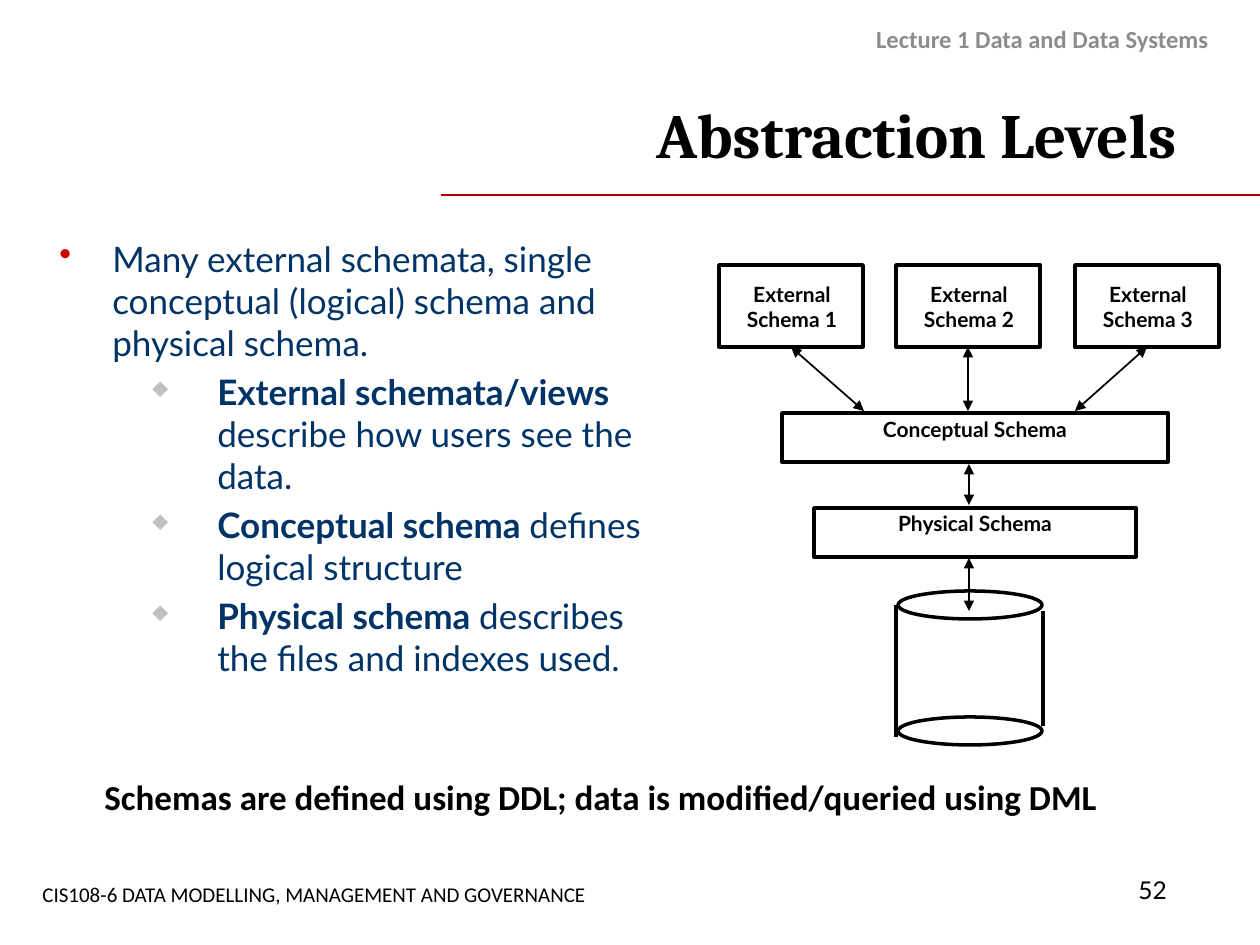
from dataclasses import dataclass

from lxml.etree import SubElement
from pptx import Presentation
from pptx.dml.color import RGBColor
from pptx.enum.shapes import MSO_CONNECTOR, MSO_SHAPE
from pptx.enum.text import MSO_ANCHOR, PP_ALIGN
from pptx.oxml.ns import qn
from pptx.util import Pt

PX = 914400 / 126
BOTTOM_SIDE = 2


def emu(px):
    return round(px * PX)


@dataclass(frozen=True)
class Theme:
    ink: str = "000000"
    navy: str = "003366"
    grey: str = "8C8C8C"
    rule: str = "A80000"
    bullet: str = "CC0000"
    sub_bullet: str = "C0C0C0"
    heading_font: str = "Cambria"
    body_font: str = "Lato"
    note_font: str = "Calibri"
    title_size: int = 36
    body_size: int = 20
    header_size: int = 14
    label_size: int = 12


class SlideBuilder:
    """Draws elements on one slide, with lengths in px."""

    def __init__(self, slide, theme):
        self.slide = slide
        self.theme = theme

    def style(self, paragraph, font, size, color, bold=None):
        paragraph.font.name = font
        paragraph.font.size = Pt(size)
        paragraph.font.bold = bold
        paragraph.font.color.rgb = RGBColor.from_string(color)

    def title(self, text, x, y, w, h):
        title = self.slide.shapes.title
        title.left, title.top, title.width, title.height = map(emu, (x, y, w, h))
        title.text_frame.text = text
        title.text_frame.vertical_anchor = MSO_ANCHOR.MIDDLE
        heading = title.text_frame.paragraphs[0]
        heading.alignment = PP_ALIGN.RIGHT
        self.style(heading, self.theme.heading_font, self.theme.title_size,
                   self.theme.ink, True)

    def frame(self, x, y, w, h, anchor=MSO_ANCHOR.TOP, wrap=True):
        frame = self.slide.shapes.add_textbox(*map(emu, (x, y, w, h))).text_frame
        frame.word_wrap = wrap
        frame.vertical_anchor = anchor
        return frame

    def text(self, text, x, y, w, h, font, size, color=None, bold=None,
             align=PP_ALIGN.LEFT, anchor=MSO_ANCHOR.TOP, wrap=True):
        frame = self.frame(x, y, w, h, anchor, wrap)
        frame.text = text
        for paragraph in frame.paragraphs:
            paragraph.alignment = align
            self.style(paragraph, font, size, color or self.theme.ink, bold)

    def label(self, text, center, y, w, h):
        self.text(text, center - w / 2, y, w, h, self.theme.body_font,
                  self.theme.label_size, bold=True, align=PP_ALIGN.CENTER, wrap=False)

    def bullet(self, paragraph, char, color, left, hanging, percent=100):
        properties = paragraph._p.get_or_add_pPr()
        properties.set("marL", str(emu(left)))
        properties.set("indent", str(-emu(hanging)))
        bullet_color = SubElement(properties, qn("a:buClr"))
        SubElement(bullet_color, qn("a:srgbClr"), val=color)
        SubElement(properties, qn("a:buSzPct"), val=str(percent * 1000))
        SubElement(properties, qn("a:buChar"), char=char)

    def bullets(self, lead, points, x, y, w, h):
        """One lead bullet, then sub-bullets given as (bold term, explanation)."""
        theme = self.theme
        frame = self.frame(x, y, w, h)
        first = frame.paragraphs[0]
        first.add_run().text = lead
        self.bullet(first, "•", theme.bullet, 53, 53)
        self.style(first, theme.body_font, theme.body_size, theme.navy)
        for term, explanation in points:
            point = frame.add_paragraph()
            point.level = 1
            self.bullet(point, "♦", theme.sub_bullet, 158, 65, 80)
            point.space_before = Pt(theme.body_size * 0.2)
            self.style(point, theme.body_font, theme.body_size, theme.navy)
            term_run = point.add_run()
            term_run.text = term + " "
            term_run.font.bold = True
            point.add_run().text = explanation

    def outline(self, kind, x, y, w, h):
        shape = self.slide.shapes.add_shape(kind, *map(emu, (x, y, w, h)))
        shape.shadow.inherit = False
        shape.fill.background()
        shape.line.color.rgb = RGBColor.from_string(self.theme.ink)
        shape.line.width = Pt(2)
        return shape

    def line(self, x1, y1, x2, y2, width, color=None):
        connector = self.slide.shapes.add_connector(
            MSO_CONNECTOR.STRAIGHT, *map(emu, (x1, y1, x2, y2)))
        connector.line.color.rgb = RGBColor.from_string(color or self.theme.ink)
        connector.line.width = Pt(width)
        SubElement(connector._element.spPr, qn("a:effectLst"))
        return connector

    def double_arrow(self, x1, y1, x2, y2):
        arrow = self.line(x1, y1, x2, y2, 1)
        for end in ("a:headEnd", "a:tailEnd"):
            SubElement(arrow.line._get_or_add_ln(), qn(end), type="triangle")
        return arrow


def draw_schemas(builder):
    axis = 968
    external_schemas = [("External\nSchema 1", 791, 864),
                        ("External\nSchema 2", axis, axis),
                        ("External\nSchema 3", 1147, 1075)]
    for name, center, arrow_end in external_schemas:
        box = builder.outline(MSO_SHAPE.RECTANGLE, center - 72, 265, 144, 82)
        builder.label(name, center + 1, 275, 128, 63)
        arrow = builder.double_arrow(center, 347, arrow_end, 411)
        arrow.begin_connect(box, BOTTOM_SIDE)

    for name, y, w, label_y in [("Conceptual Schema", 413, 386, 410),
                                ("Physical Schema", 508, 322, 504)]:
        builder.outline(MSO_SHAPE.RECTANGLE, 975 - w / 2, y, w, 49)
        builder.label(name, 975, label_y, 234, 38)
    for top, bottom in [(464, 505), (558, 611)]:
        builder.double_arrow(axis + 1, top, axis + 1, bottom)


def draw_database(builder):
    for y in (591, 717):
        builder.outline(MSO_SHAPE.OVAL, 898, y, 144, 28)
    for x, top, bottom in [(896, 605, 737), (1043, 611, 726)]:
        builder.line(x, top, x, bottom, 2)


def main():
    presentation = Presentation()
    presentation.slide_width, presentation.slide_height = emu(1260), emu(945)
    theme = Theme()
    slide = presentation.slides.add_slide(presentation.slide_layouts[5])
    builder = SlideBuilder(slide, theme)

    builder.text("Lecture 1 Data and Data Systems", 848, 14, 373, 50,
                 theme.note_font, theme.header_size, theme.grey, True,
                 PP_ALIGN.RIGHT, MSO_ANCHOR.MIDDLE)
    builder.title("Abstraction Levels", 223, 86, 966, 94)
    builder.line(441, 195, 1260, 195, 0.75, theme.rule)
    builder.bullets(
        "Many external schemata, single conceptual (logical) schema and physical schema.",
        [("External schemata/views", "describe how users see the data."),
         ("Conceptual schema", "defines logical structure"),
         ("Physical schema", "describes the files and indexes used.")],
        47, 231, 630, 462)
    draw_schemas(builder)
    draw_database(builder)
    builder.text("Schemas are defined using DDL; data is modified/queried using DML",
                 92, 769, 1168, 55, theme.note_font, theme.body_size, bold=True)
    builder.text("CIS108-6 DATA MODELLING, MANAGEMENT AND GOVERNANCE", 30, 869, 600, 50,
                 theme.note_font, theme.label_size, anchor=MSO_ANCHOR.MIDDLE)
    builder.text("52", 1126, 869, 63, 43, theme.body_font, theme.header_size)
    presentation.save("out.pptx")


if __name__ == "__main__":
    main()
